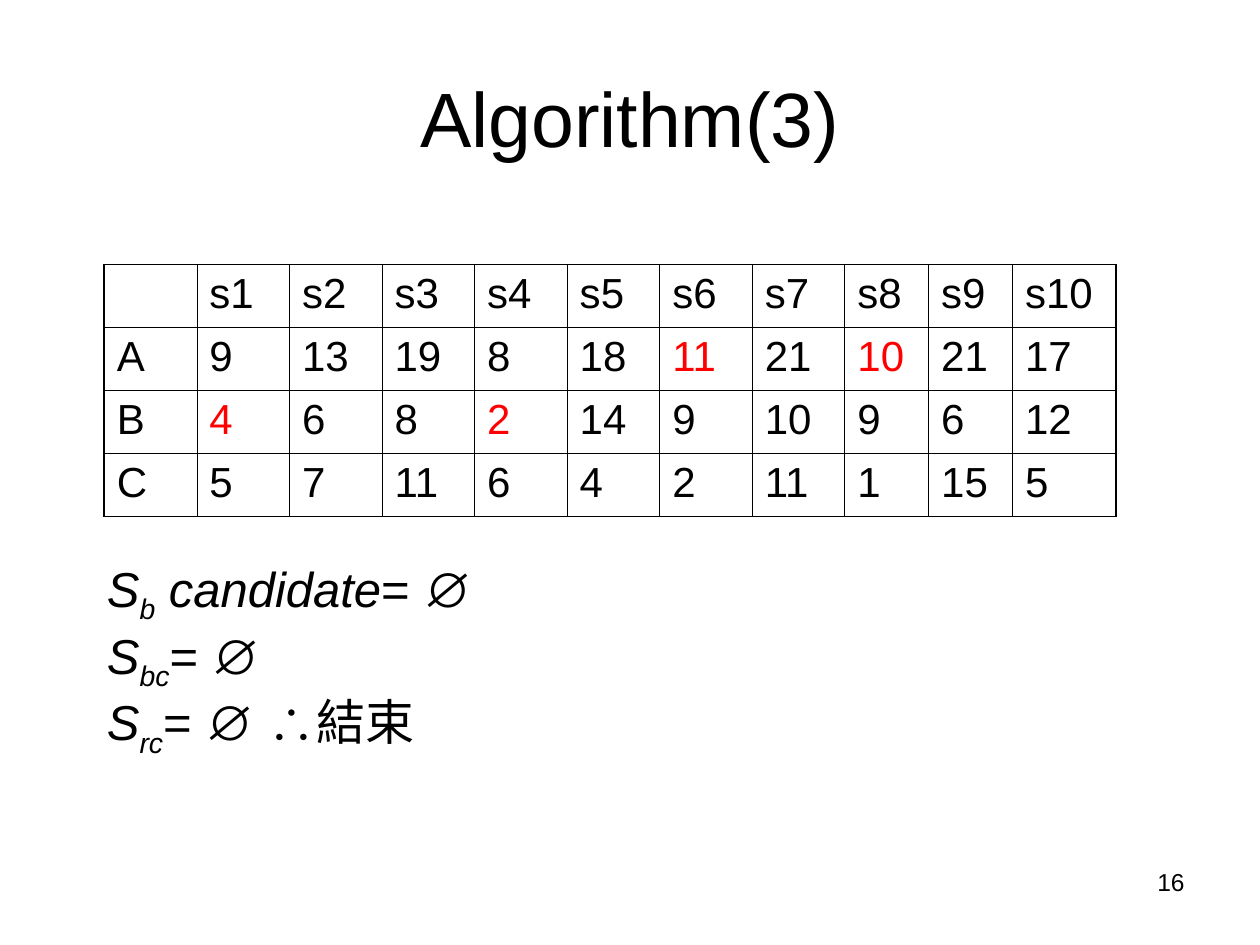
from lxml import etree
from pptx import Presentation
from pptx import util as u
from pptx.dml import color
from pptx.enum import text
from pptx.oxml import ns

Pt = u.Pt
FONT = "Arial"
COLORS = {name: color.RGBColor.from_string(value)
          for name, value in {"text": "000000", "marked": "FF0000"}.items()}


def set_font(paragraph, size, name="text"):
    paragraph.font.name = FONT
    paragraph.font.size = Pt(size)
    paragraph.font.color.rgb = COLORS[name]


def add_border(cell, side, width):
    line = etree.SubElement(cell._tc.get_or_add_tcPr(), ns.qn(f"a:ln{side}"), w=str(Pt(width)))
    fill = etree.SubElement(line, ns.qn("a:solidFill"))
    etree.SubElement(fill, ns.qn("a:srgbClr"), val=str(COLORS["text"]))


presentation = Presentation()
presentation.slide_width, presentation.slide_height = Pt(720), Pt(540)
slide = presentation.slides.add_slide(presentation.slide_layouts[5])

# Title
title = slide.shapes.title
title.left, title.top, title.width, title.height = Pt(36), Pt(21.6), Pt(648), Pt(90)
title.text_frame.text = "Algorithm(3)"
title.text_frame.vertical_anchor = text.MSO_ANCHOR.MIDDLE
title.text_frame.paragraphs[0].alignment = text.PP_ALIGN.CENTER
set_font(title.text_frame.paragraphs[0], 44)

# Table of values, with the marked cells in red
rows = [
    [""] + [f"s{number}" for number in range(1, 11)],
    ["A", 9, 13, 19, 8, 18, 11, 21, 10, 21, 17],
    ["B", 4, 6, 8, 2, 14, 9, 10, 9, 6, 12],
    ["C", 5, 7, 11, 6, 4, 2, 11, 1, 15, 5],
]
marked = {(1, 6), (1, 8), (2, 1), (2, 4)}
widths = [52.92] * 8 + [47.88] * 2 + [59.04]
last_row, last_column = len(rows) - 1, len(widths) - 1
table = slide.shapes.add_table(len(rows), len(widths), Pt(59.6), Pt(151.2),
                               Pt(sum(widths)), Pt(36 * len(rows))).table
table.first_row = table.horz_banding = False
for column, width in zip(table.columns, widths):
    column.width = Pt(width)
for r, values in enumerate(rows):
    table.rows[r].height = Pt(36)
    for c, value in enumerate(values):
        cell = table.cell(r, c)
        cell.text = str(value)
        set_font(cell.text_frame.paragraphs[0], 24, "marked" if (r, c) in marked else "text")
        heavy = {"L": c == 0, "R": c == last_column, "T": False, "B": r == last_row}
        for side, is_heavy in heavy.items():
            add_border(cell, side, 1.08 if is_heavy else 0.45)
        cell.fill.background()

# Resulting sets: letter, subscript, italic rest, upright rest
results = [
    ("S", "b", " candidate", "= ∅"),
    ("S", "bc", "", "= ∅"),
    ("S", "rc", "", "= ∅ ∴結束"),
]
frame = slide.shapes.add_textbox(Pt(54), Pt(315.4), Pt(627.8), Pt(122.4)).text_frame
frame.word_wrap = True
for index, parts in enumerate(results):
    paragraph = frame.add_paragraph() if index else frame.paragraphs[0]
    set_font(paragraph, 28)
    for position, part in enumerate(parts):
        if part:
            run = paragraph.add_run()
            run.text = part
            run.font.italic = position < 3
            if position == 1:
                run._r.get_or_add_rPr().set("baseline", "-25000")

# Slide number
frame = slide.shapes.add_textbox(Pt(516), Pt(491.8), Pt(168), Pt(37.4)).text_frame
frame.word_wrap = True
frame.text = "16"
frame.paragraphs[0].alignment = text.PP_ALIGN.RIGHT
set_font(frame.paragraphs[0], 14)

presentation.save("out.pptx")
